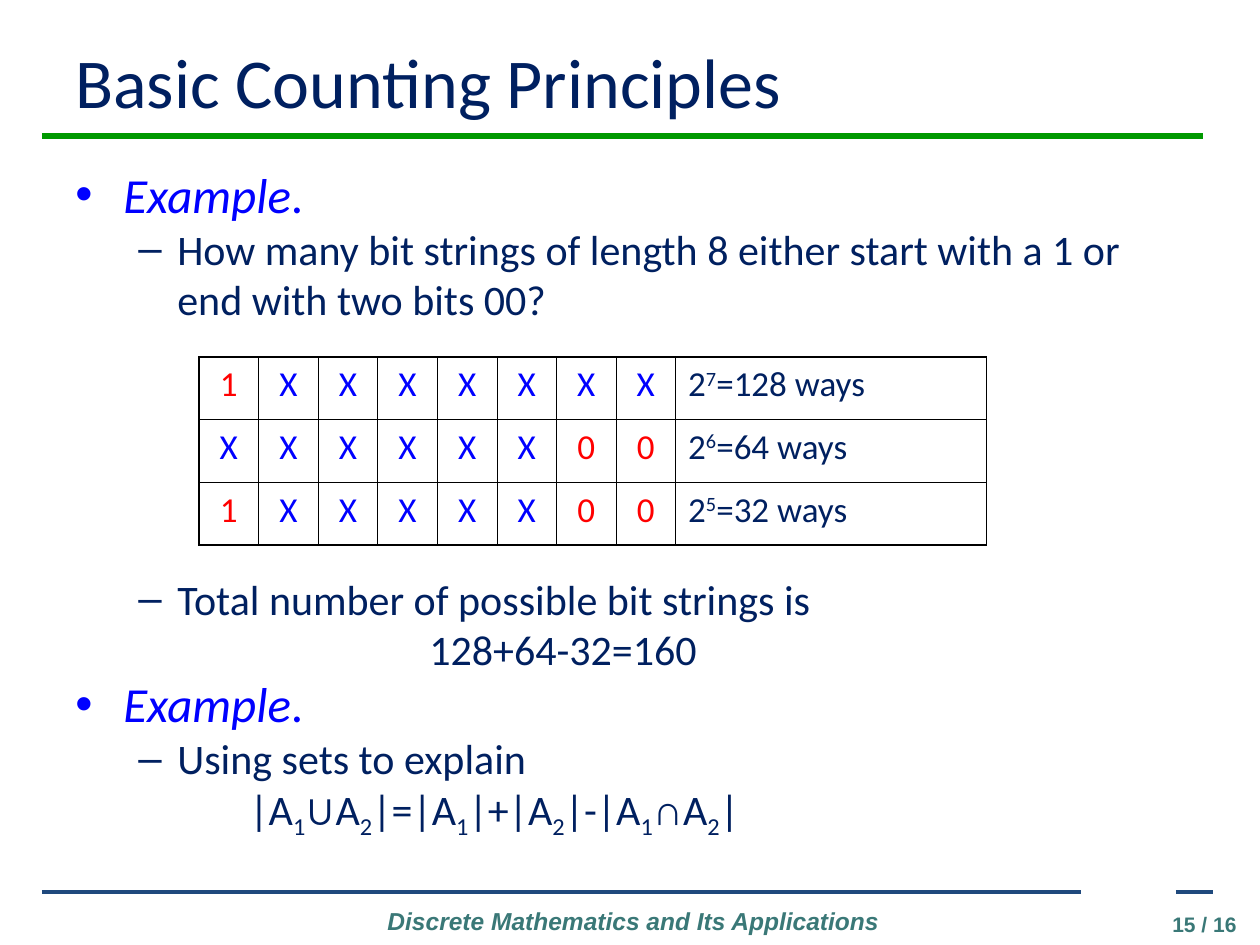
from itertools import groupby
from lxml.etree import SubElement as Sub
from pptx import Presentation
from pptx.dml.color import RGBColor
from pptx.enum.shapes import MSO_CONNECTOR as Link
from pptx.enum.text import MSO_ANCHOR as Anchor, PP_ALIGN as Align
from pptx.oxml.ns import qn
from pptx.util import Emu, Pt

NAVY = RGBColor(0x00, 0x20, 0x60)
BLUE = RGBColor(0x00, 0x00, 0xFF)
RED = RGBColor(0xFF, 0x00, 0x00)
GREEN = RGBColor(0x00, 0x99, 0x00)
STEEL = RGBColor(0x1F, 0x49, 0x7D)
TEAL = RGBColor(0x3A, 0x78, 0x77)
BLACK = RGBColor(0x00, 0x00, 0x00)

ROWS = [
    ("1XXXXXXX", "2~7~=128 ways"),
    ("XXXXXX00", "2~6~=64 ways"),
    ("1XXXXX00", "2~5~=32 ways"),
]


def px(n):
    """Turn pixels into EMU."""
    return Emu(round(n * 914400 / 126))


def write(para, text, size=24, color=NAVY, bold=False, italic=False,
          face="Calibri", shift=0):
    """Add formatted runs; parts between tildes are raised or lowered by shift."""
    for i, part in enumerate(text.split("~")):
        for sign, chars in groupby(part, lambda c: c in "∪∩"):
            run = para.add_run()
            run.text = "".join(chars)
            font = run.font
            font.size, font.bold, font.italic = Pt(size), bold, italic
            font.name = "Arial" if sign else face
            font.color.rgb = color
            if i % 2:
                run._r.get_or_add_rPr().set("baseline", str(shift * 1000))


def add_rule(slide, left, right, y, color, width):
    """Draw a horizontal line."""
    line = slide.shapes.add_connector(
        Link.STRAIGHT, px(left), px(y), px(right), px(y))
    line.line.color.rgb = color
    line.line.width = Pt(width)
    Sub(line._element.spPr, qn("a:effectLst"))


def add_box(slide, x, y, w, h, anchor=Anchor.TOP):
    """Add a wrapping text box and return its frame."""
    frame = slide.shapes.add_textbox(px(x), px(y), px(w), px(h)).text_frame
    frame.word_wrap = True
    frame.vertical_anchor = anchor
    return frame


def add_label(slide, area, text, align=Align.LEFT, anchor=Anchor.TOP, **style):
    """Add a box with one line of text."""
    para = add_box(slide, *area, anchor).paragraphs[0]
    para.alignment = align
    write(para, text, **style)


def add_para(frame, left, hang=0, mark=None, color=NAVY, level=0):
    """Start a paragraph with an indent and maybe a bullet."""
    para = frame.paragraphs[0]
    if para.runs:
        para = frame.add_paragraph()
    para.level = level
    props = para._p.get_or_add_pPr()
    props.set("marL", str(px(left)))
    props.set("indent", str(-px(hang)))
    if mark:
        tint = Sub(props, qn("a:buClr"))
        Sub(tint, qn("a:srgbClr"), val=str(color))
        Sub(props, qn("a:buFont"), typeface="Arial")
        Sub(props, qn("a:buChar"), char=mark)
    else:
        Sub(props, qn("a:buNone"))
    return para


def add_head(frame):
    """Add an example heading."""
    para = add_para(frame, 48, 48, "•", BLUE)
    write(para, "Example", size=28, color=BLUE, italic=True)
    write(para, ".", size=28, color=BLUE)


def add_item(frame, text):
    """Add a dashed item."""
    write(add_para(frame, 102, 39, "–", level=1), text)


def set_edge(cell, side, width):
    """Draw one border of a cell."""
    props = cell._tc.get_or_add_tcPr()
    edge = Sub(props, qn("a:ln" + side), w=str(Pt(width)))
    fill = Sub(edge, qn("a:solidFill"))
    Sub(fill, qn("a:srgbClr"), val=str(BLACK))


def add_grid(slide):
    """Add the table of bit patterns."""
    rows, cols = len(ROWS), len(ROWS[0][0]) + 1
    grid = slide.shapes.add_table(
        rows, cols, px(199), px(357), px(788), px(188)).table
    grid.first_row = grid.horz_banding = False
    for c, col in enumerate(grid.columns):
        col.width = px(311) if c == cols - 1 else px(477) // (cols - 1)
    for r, (bits, ways) in enumerate(ROWS):
        for c, text in enumerate([*bits, ways]):
            cell = grid.cell(r, c)
            outer = {"L": c == 0, "R": c == cols - 1,
                     "T": r == 0, "B": r == rows - 1}
            for side, thick in outer.items():
                set_edge(cell, side, 1.08 if thick else 0.45)
            cell.fill.background()
            para = cell.text_frame.paragraphs[0]
            if c == cols - 1:
                write(para, text, size=20, shift=30)
            else:
                para.alignment = Align.CENTER
                write(para, text, size=20, color=BLUE if text == "X" else RED)


def main():
    """Build the slide and save it."""
    deck = Presentation()
    deck.slide_width, deck.slide_height = px(1260), px(945)
    slide = deck.slides.add_slide(deck.slide_layouts[6])

    add_rule(slide, 42, 1203, 136, GREEN, 3)
    add_rule(slide, 42, 1081, 892, STEEL, 2.25)
    add_rule(slide, 1176, 1213, 892, STEEL, 2.25)
    add_label(slide, (357, 900, 553, 43),
              "Discrete Mathematics and Its Applications", Align.CENTER,
              size=14, color=TEAL, bold=True, italic=True, face="Arial")
    add_label(slide, (1120, 905, 129, 30), "15 / 16", Align.RIGHT,
              size=12, color=TEAL, bold=True, face="Arial")
    add_label(slide, (63, 32, 1134, 97), "Basic Counting Principles",
              anchor=Anchor.MIDDLE, size=40)

    task = add_box(slide, 63, 158, 1134, 173)
    add_head(task)
    add_item(task, "How many bit strings of length 8 either start with a 1 "
                   "or end with two bits 00?")
    add_grid(slide)

    answer = add_box(slide, 63, 567, 1134, 280)
    add_item(answer, "Total number of possible bit strings is")
    write(add_para(answer, 354, level=1), "128+64-32=160")
    add_head(answer)
    add_item(answer, "Using sets to explain")
    write(add_para(answer, 174),
          "|A~1~∪A~2~|=|A~1~|+|A~2~|-|A~1~∩A~2~|", shift=-25)
    deck.save("out.pptx")


if __name__ == "__main__":
    main()
